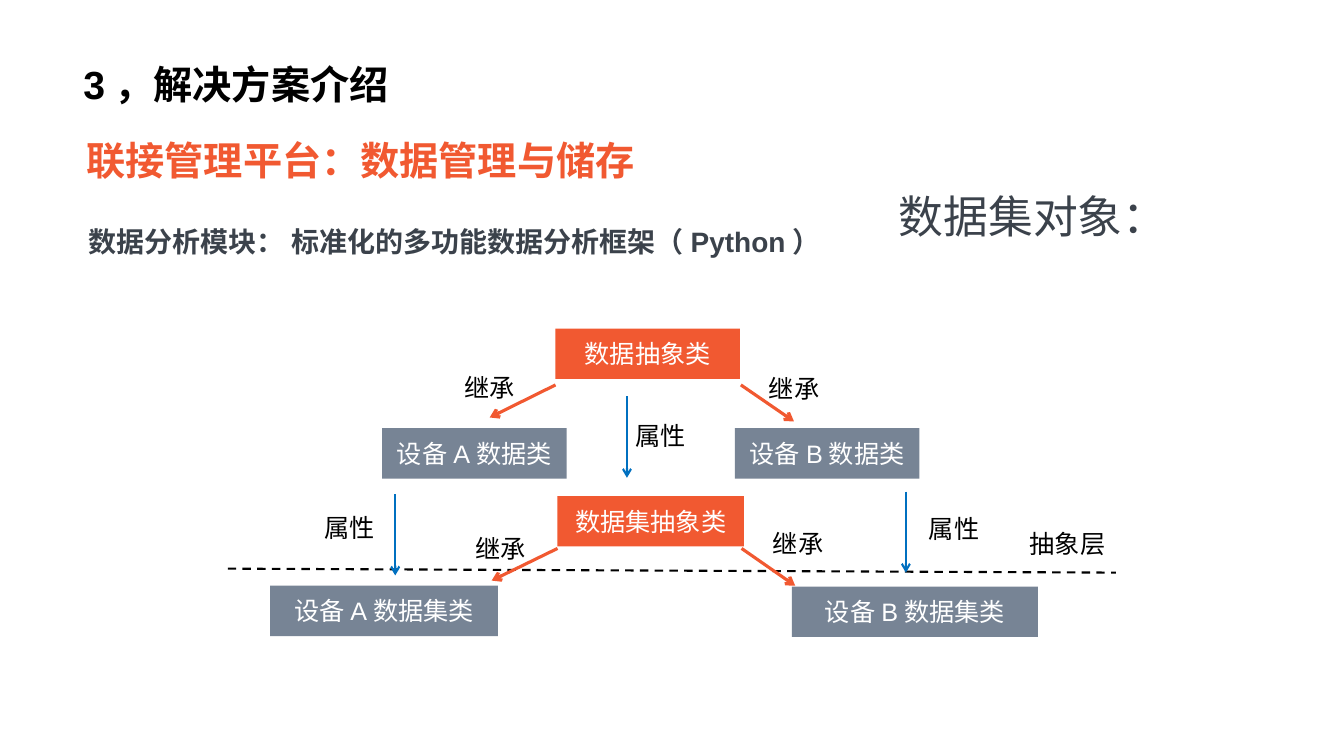
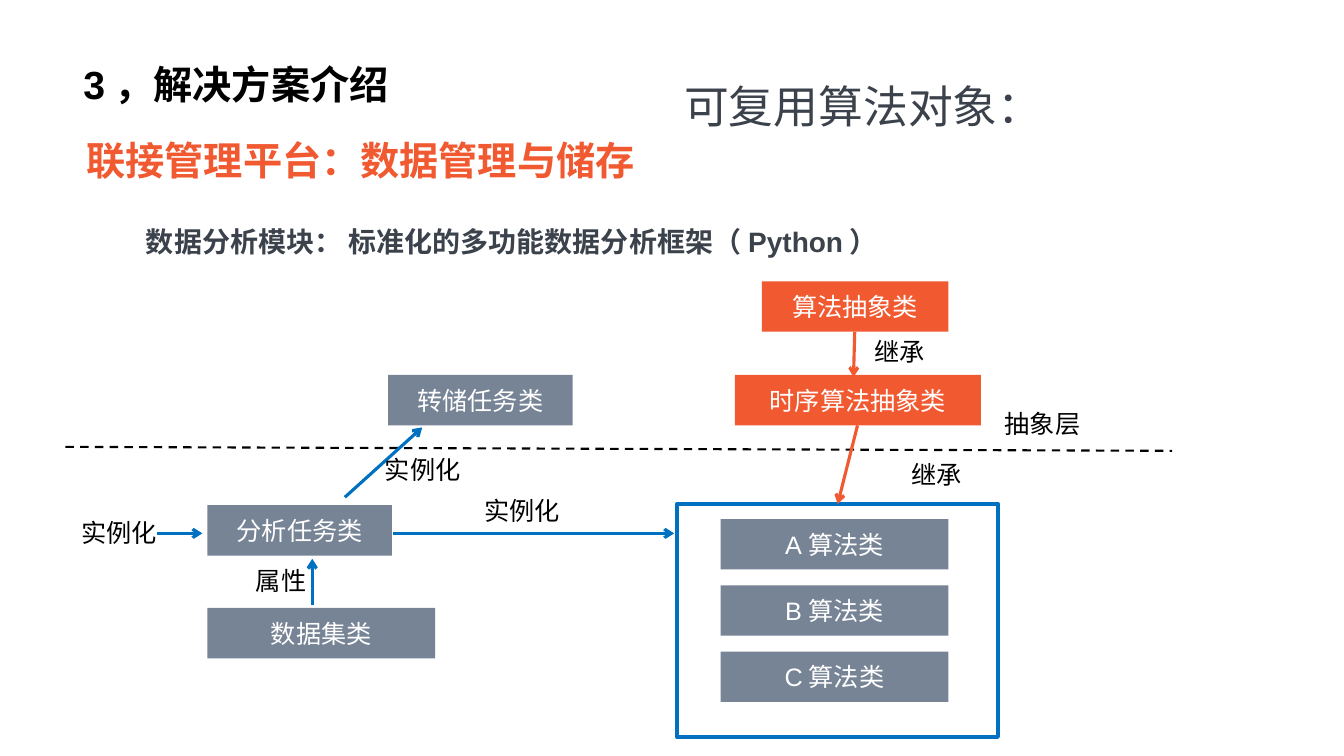
from lxml.etree import SubElement
from pptx import Presentation
from pptx.dml.color import RGBColor
from pptx.enum.dml import MSO_LINE
from pptx.enum.shapes import MSO_CONNECTOR, MSO_SHAPE
from pptx.enum.text import MSO_ANCHOR, PP_ALIGN
from pptx.oxml.ns import qn
from pptx.util import Cm, Pt

ORANGE = RGBColor(0xF1, 0x59, 0x31)
GREY = RGBColor(0x77, 0x84, 0x95)
BLUE = RGBColor(0x00, 0x70, 0xC0)
DARK = RGBColor(0x3B, 0x42, 0x4B)
BLACK = RGBColor(0, 0, 0)
WHITE = RGBColor(255, 255, 255)

FONT = "Arial"
BOX_H = 1.27
LABEL_H = 1.02
# Label widths by wording
LABEL_W = {"继承": 2.26, "属性": 2.26, "实例化": 3.2, "抽象层": 4.98}


def add_run(p, text, size, color, bold=False):
    r = p.add_run()
    r.text = text
    r.font.name = FONT
    r.font.size = Pt(size)
    r.font.bold = bold
    r.font.color.rgb = color


def add_text(s, x, y, w, h, text, size, color=BLACK, bold=False, spacing=1.0):
    tf = s.shapes.add_textbox(Cm(x), Cm(y), Cm(w), Cm(h)).text_frame
    tf.word_wrap = True
    p = tf.paragraphs[0]
    p.line_spacing = spacing
    add_run(p, text, size, color, bold)


def add_label(s, x, y, text):
    add_text(s, x, y, LABEL_W[text], LABEL_H, text, 18)


def add_rect(s, x, y, w, h):
    sp = s.shapes.add_shape(MSO_SHAPE.RECTANGLE, Cm(x), Cm(y), Cm(w), Cm(h))
    sp.shadow.inherit = False
    return sp


def add_class(s, x, y, w, text, color):
    sp = add_rect(s, x, y, w, BOX_H)
    sp.fill.solid()
    sp.fill.fore_color.rgb = color
    sp.line.fill.background()
    tf = sp.text_frame
    tf.word_wrap = True
    tf.vertical_anchor = MSO_ANCHOR.MIDDLE
    p = tf.paragraphs[0]
    p.alignment = PP_ALIGN.CENTER
    add_run(p, text, 18, WHITE)


def add_line(s, x1, y1, x2, y2, color, width):
    ln = s.shapes.add_connector(
        MSO_CONNECTOR.STRAIGHT, Cm(x1), Cm(y1), Cm(x2), Cm(y2))
    ln.line.color.rgb = color
    ln.line.width = Pt(width)
    SubElement(ln._element.spPr, qn("a:effectLst"))
    return ln


def add_arrow(s, x1, y1, x2, y2, color, width=2.25):
    ln = add_line(s, x1, y1, x2, y2, color, width)
    SubElement(ln.line._get_or_add_ln(), qn("a:tailEnd"), type="arrow")


def add_divider(s, x, y, w):
    # Dashed edge of the abstract layer, dropping slightly to the right
    ln = add_line(s, x, y, x + w, y + 0.1, BLACK, 1.5)
    ln.line.dash_style = MSO_LINE.DASH


def add_diagram(s, x, y, classes, arrows, labels):
    """Place classes, arrows and labels relative to the corner x, y."""
    for dx, dy, w, text, color in classes:
        add_class(s, x + dx, y + dy, w, text, color)
    for x1, y1, x2, y2, *style in arrows:
        add_arrow(s, x + x1, y + y1, x + x2, y + y2, *style)
    for dx, dy, text in labels:
        add_label(s, x + dx, y + dy, text)


def add_header(s, x, y, indent=0.0):
    # Title, orange subtitle and module line
    add_text(s, x, y, 30.15, 2.84, "3，解决方案介绍", 28, BLACK, True, 0.9)
    add_text(s, x + 0.08, y + 1.78, 26.42, 2.64,
             "联接管理平台：数据管理与储存", 28, ORANGE, True)
    add_text(s, x + 0.13 + indent, y + 3.59, 26.16, 1.5,
             "数据分析模块： 标准化的多功能数据分析框架（Python）",
             20, DARK, True, 1.5)


def add_topic(s, x, y, w, text):
    add_text(s, x, y, w, 1.63, text, 32, DARK)


def dataset_diagram(s, x, y):
    classes = [
        (8.26, 0, 4.65, "数据抽象类", ORANGE),
        (8.31, 4.22, 4.7, "数据集抽象类", ORANGE),
        (3.89, 2.51, 4.65, "设备A数据类", GREY),
        (12.78, 2.51, 4.65, "设备B数据类", GREY),
        (1.07, 6.48, 5.74, "设备A数据集类", GREY),
        (14.22, 6.5, 6.2, "设备B数据集类", GREY),
    ]
    arrows = [
        (8.26, 1.42, 6.6, 2.24, ORANGE),
        (12.93, 1.42, 14.27, 2.34, ORANGE),
        (8.31, 5.54, 6.65, 6.35, ORANGE),
        (12.95, 5.54, 14.3, 6.48, ORANGE),
        (10.06, 1.7, 10.06, 3.76, BLUE, 1.5),
        (4.22, 4.17, 4.22, 6.22, BLUE, 1.5),
        (17.09, 4.11, 17.09, 6.15, BLUE, 1.5),
    ]
    labels = [
        (5.71, 0.97, "继承"), (13.39, 0.99, "继承"),
        (5.99, 5.03, "继承"), (13.49, 4.9, "继承"),
        (10.03, 2.18, "属性"), (2.18, 4.5, "属性"), (17.42, 4.52, "属性"),
        (19.96, 4.9, "抽象层"),
    ]
    add_divider(s, x, y + 6.05, 22.38)
    add_diagram(s, x, y, classes, arrows, labels)


def algorithm_group(s, x, y):
    # Blue frame with the reusable algorithms stacked inside
    frame = add_rect(s, x, y, 8.08, 5.87)
    frame.fill.background()
    frame.line.color.rgb = BLUE
    frame.line.width = Pt(3)
    for i, name in enumerate("ABC"):
        add_class(s, x + 1.09, y + 0.38 + i * 1.67, 5.74, f"{name}算法类", GREY)


def algorithm_diagram(s, x, y):
    classes = [
        (17.55, 0, 4.7, "算法抽象类", ORANGE),
        (16.87, 2.36, 6.2, "时序算法抽象类", ORANGE),
        (8.13, 2.36, 4.65, "转储任务类", GREY),
        (3.58, 5.64, 4.65, "分析任务类", GREY),
        (3.58, 8.23, 5.74, "数据集类", GREY),
    ]
    arrows = [
        (19.89, 1.27, 19.86, 2.41, ORANGE),
        (19.96, 3.63, 19.46, 5.61, ORANGE),
        (2.31, 6.35, 3.45, 6.35, BLUE),
        (6.22, 8.15, 6.22, 6.99, BLUE),
        (8.26, 6.35, 15.34, 6.35, BLUE),
        (7.04, 5.44, 8.99, 3.68, BLUE),
    ]
    labels = [
        (20.14, 1.27, "继承"), (21.06, 4.37, "继承"),
        (10.31, 5.26, "实例化"), (0.15, 5.82, "实例化"), (7.8, 4.24, "实例化"),
        (4.55, 7.04, "属性"), (23.42, 3.07, "抽象层"),
    ]
    add_divider(s, x, y + 4.17, 27.89)
    algorithm_group(s, x + 15.42, y + 5.61)
    add_diagram(s, x, y, classes, arrows, labels)


def main():
    prs = Presentation()
    prs.slide_width, prs.slide_height = Cm(33.87), Cm(19.05)
    blank = prs.slide_layouts[6]

    # Dataset objects
    s = prs.slides.add_slide(blank)
    add_header(s, 1.85, 1.52)
    add_topic(s, 22.4, 4.62, 7.26, "数据集对象：")
    dataset_diagram(s, 5.74, 8.28)

    # Reusable algorithm objects
    s = prs.slides.add_slide(blank)
    add_header(s, 1.85, 1.52, indent=1.45)
    add_topic(s, 16.99, 1.85, 16, "可复用算法对象：")
    algorithm_diagram(s, 1.65, 7.09)

    prs.save("out.pptx")


if __name__ == "__main__":
    main()
